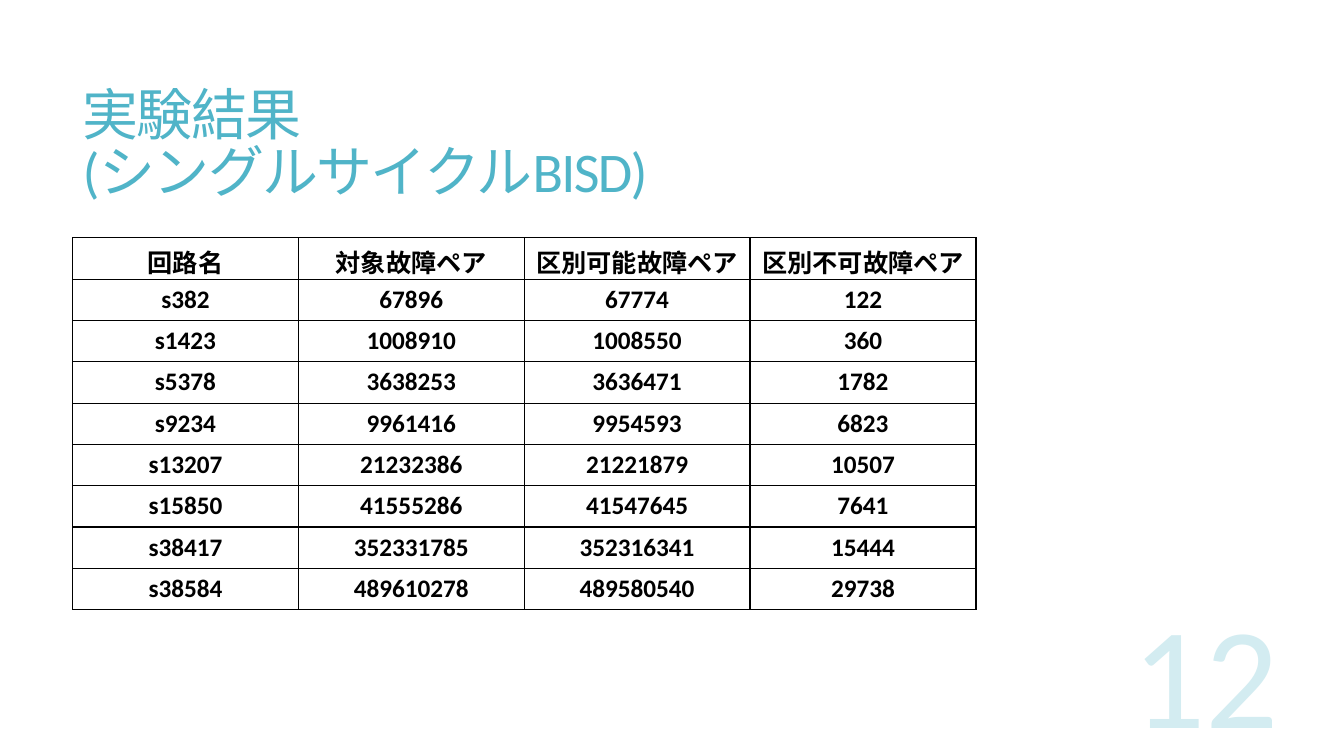
from lxml import etree
from pptx import Presentation
from pptx.dml.color import RGBColor
from pptx.enum.text import MSO_ANCHOR, PP_ALIGN
from pptx.oxml.ns import qn
from pptx.util import Inches, Pt

CENTER, LEFT, RIGHT = PP_ALIGN.CENTER, PP_ALIGN.LEFT, PP_ALIGN.RIGHT
TOP, MIDDLE = MSO_ANCHOR.TOP, MSO_ANCHOR.MIDDLE

FONT = "Calibri"
COLORS = {"title": "50B4C8", "number": "D3ECF1", "text": "000000", "border": "000000"}
TITLE = "実験結果\v(シングルサイクルBISD)"
PAGE_NUMBER = "12"
RESULTS = [
    ("回路名", "対象故障ペア", "区別可能故障ペア", "区別不可故障ペア"),
    ("s382", "67896", "67774", "122"),
    ("s1423", "1008910", "1008550", "360"),
    ("s5378", "3638253", "3636471", "1782"),
    ("s9234", "9961416", "9954593", "6823"),
    ("s13207", "21232386", "21221879", "10507"),
    ("s15850", "41555286", "41547645", "7641"),
    ("s38417", "352331785", "352316341", "15444"),
    ("s38584", "489610278", "489580540", "29738"),
]
TABLE_LEFT, TABLE_TOP = 0.72, 2.36
COLUMN_WIDTH, ROW_HEIGHT = 2.24, 0.41


def style_paragraph(paragraph, size, color, alignment, bold=False):
    paragraph.alignment = alignment
    font = paragraph.font
    font.name = FONT
    font.size = Pt(size)
    font.bold = bold
    font.color.rgb = RGBColor.from_string(COLORS[color])


def add_text(slide, box, text, size, color, alignment, anchor):
    shape = slide.shapes.add_textbox(*map(Inches, box))
    frame = shape.text_frame
    frame.word_wrap = True
    frame.vertical_anchor = anchor
    paragraph = frame.paragraphs[0]
    paragraph.text = text
    style_paragraph(paragraph, size, color, alignment)
    return frame


def add_borders(cell):
    properties = cell._tc.get_or_add_tcPr()
    for position, side in enumerate(("a:lnL", "a:lnR", "a:lnT", "a:lnB")):
        line = etree.Element(qn(side), w=str(Pt(1)))
        fill = etree.SubElement(line, qn("a:solidFill"))
        etree.SubElement(fill, qn("a:srgbClr"), val=COLORS["border"])
        properties.insert(position, line)


def add_results_table(slide):
    row_count, column_count = len(RESULTS), len(RESULTS[0])
    table = slide.shapes.add_table(
        row_count, column_count, Inches(TABLE_LEFT), Inches(TABLE_TOP),
        Inches(COLUMN_WIDTH * column_count), Inches(ROW_HEIGHT * row_count),
    ).table
    table.first_row = False
    table.horz_banding = False
    for column in table.columns:
        column.width = Inches(COLUMN_WIDTH)
    for row, values in zip(table.rows, RESULTS):
        row.height = Inches(ROW_HEIGHT)
        for cell, value in zip(row.cells, values):
            cell.fill.background()
            add_borders(cell)
            paragraph = cell.text_frame.paragraphs[0]
            paragraph.text = value
            style_paragraph(paragraph, 18, "text", CENTER, bold=True)


def main():
    presentation = Presentation()
    presentation.slide_width = Inches(13.33)
    presentation.slide_height = Inches(7.5)
    slide = presentation.slides.add_slide(presentation.slide_layouts[6])

    title = add_text(slide, (0.72, 0.55, 11.78, 1.81), TITLE, 40, "title", LEFT, MIDDLE)
    title.paragraphs[0].line_spacing = 0.85
    for run in title.paragraphs[0].runs:
        run._r.get_or_add_rPr().set("spc", "-120")

    add_results_table(slide)

    number = add_text(slide, (9.68, 5.8, 3, 1.7), PAGE_NUMBER, 103, "number", RIGHT, TOP)
    number.margin_left = number.margin_right = number.margin_top = number.margin_bottom = 0

    presentation.save("out.pptx")


if __name__ == "__main__":
    main()
